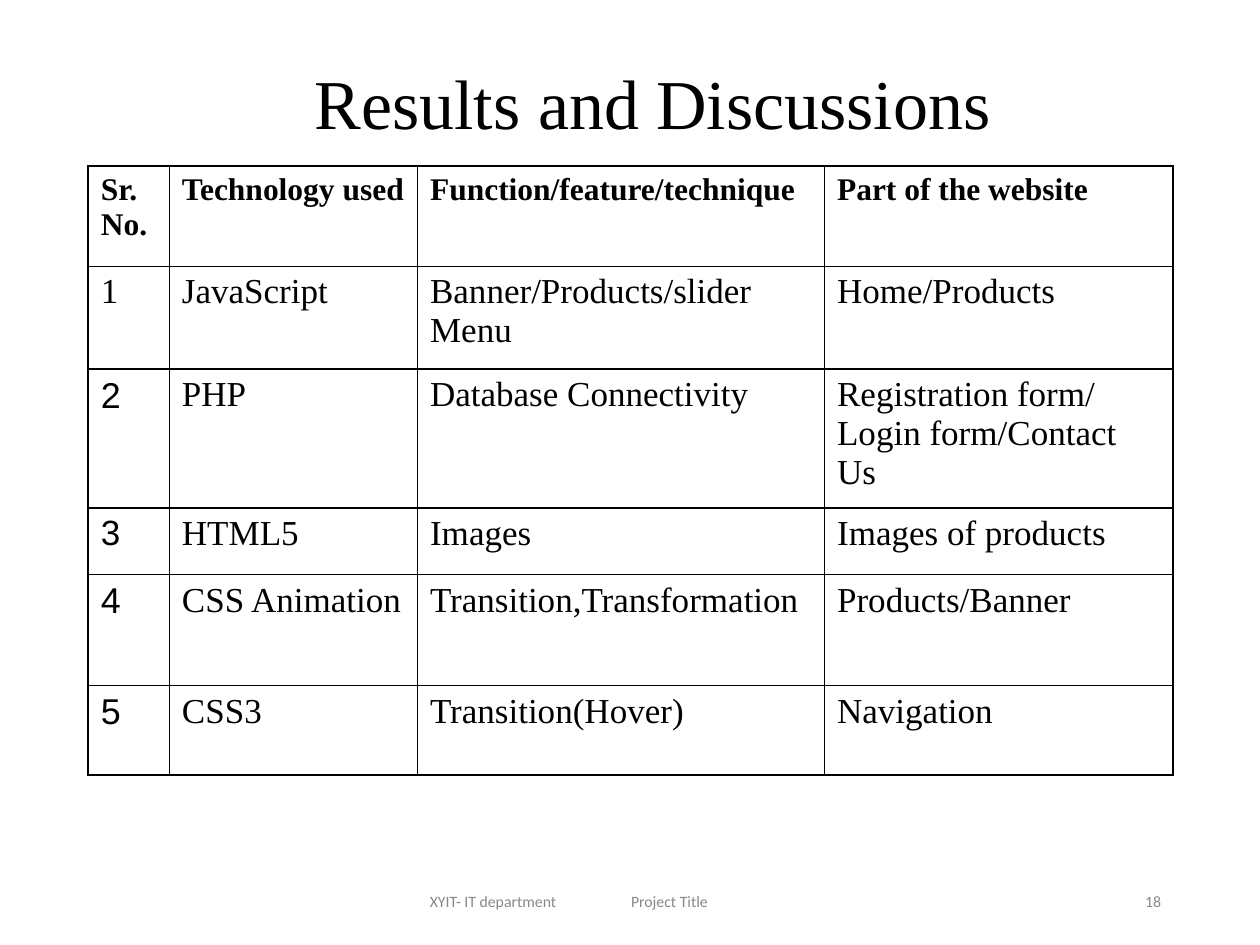
from lxml.etree import SubElement
from pptx import Presentation
from pptx.dml.color import RGBColor
from pptx.enum.text import MSO_ANCHOR as ANCHOR, PP_ALIGN as ALIGN
from pptx.oxml.ns import qn
from pptx.util import Pt

# Content
TITLE = "Results and Discussions"
FOOTER = "XYIT- IT department\tProject Title"
PAGE = "18"
ROWS = [
    ("Sr. No.", "Technology used", "Function/feature/technique", "Part of the website"),
    ("1", "JavaScript", "Banner/Products/slider Menu", "Home/Products"),
    ("2", "PHP", "Database Connectivity", "Registration form/ Login form/Contact Us"),
    ("3", "HTML5", "Images", "Images of products"),
    ("4", "CSS Animation", "Transition,Transformation", "Products/Banner"),
    ("5", "CSS3", "Transition(Hover)", "Navigation"),
]
NUMBER_SIZES = {2: 20.5, 3: 20, 4: 20.5, 5: 20.5}  # Arial row numbers

# Layout and style
COL_W = [46.4, 141.8, 232.6, 199.2]
ROW_H = [57.2, 58.8, 58.8, 38.2, 63.4, 51]
COLORS = {"text": "000000", "border": "000000", "footer": "888888"}
SERIF, SANS, FOOT_FONT = "Times New Roman", "Arial", "Calibri"


def add_run(p, text, font, size, color="text", bold=False):
    r = p.add_run()
    r.text = text
    r.font.name, r.font.size, r.font.bold = font, Pt(size), bold
    r.font.color.rgb = RGBColor.from_string(COLORS[color])


def add_text(s, box, text, font, size, color, align, anchor=ANCHOR.MIDDLE):
    tf = s.shapes.add_textbox(*map(Pt, box)).text_frame
    tf.word_wrap = True
    tf.vertical_anchor = anchor
    p = tf.paragraphs[0]
    p.alignment = align
    add_run(p, text, font, size, color)
    return tf


def set_borders(cell):
    tc_pr = cell._tc.get_or_add_tcPr()
    for side in ("lnL", "lnR", "lnT", "lnB"):
        ln = SubElement(tc_pr, qn(f"a:{side}"), w=str(Pt(1)))
        fill = SubElement(ln, qn("a:solidFill"))
        SubElement(fill, qn("a:srgbClr"), val=COLORS["border"])


prs = Presentation()
prs.slide_width, prs.slide_height = Pt(720), Pt(540)
s = prs.slides.add_slide(prs.slide_layouts[6])

# Title
tf = add_text(s, (49.7, 28.8, 646.6, 104.4), TITLE, SERIF, 40, "text",
              ALIGN.CENTER, ANCHOR.TOP)
tf.margin_top = Pt(10.8)
tf.paragraphs[0].line_spacing = 0.9

# Table
frame = s.shapes.add_table(len(ROWS), len(COL_W), Pt(50.4), Pt(95),
                           Pt(sum(COL_W)), Pt(sum(ROW_H)))
table = frame.table
table.first_row = table.horz_banding = False
for col, width in zip(table.columns, COL_W):
    col.width = Pt(width)
for i, (row, height) in enumerate(zip(ROWS, ROW_H)):
    table.rows[i].height = Pt(height)
    for j, text in enumerate(row):
        cell = table.cell(i, j)
        set_borders(cell)
        cell.fill.background()
        font, size = SERIF, 20 if i else 18
        if j == 0 and i in NUMBER_SIZES:
            font, size = SANS, NUMBER_SIZES[i]
        add_run(cell.text_frame.paragraphs[0], text, font, size, bold=i == 0)

# Footer, with a tab stop between its two parts, and page number
tf = add_text(s, (238.5, 500.5, 243, 28.8), FOOTER, FOOT_FONT, 9, "footer", ALIGN.LEFT)
tabs = SubElement(tf.paragraphs[0]._p.get_or_add_pPr(), qn("a:tabLst"))
SubElement(tabs, qn("a:tab"), pos=str(Pt(115)), algn="l")
add_text(s, (508.5, 500.5, 162, 28.8), PAGE, FOOT_FONT, 9, "footer", ALIGN.RIGHT)

prs.save("out.pptx")
